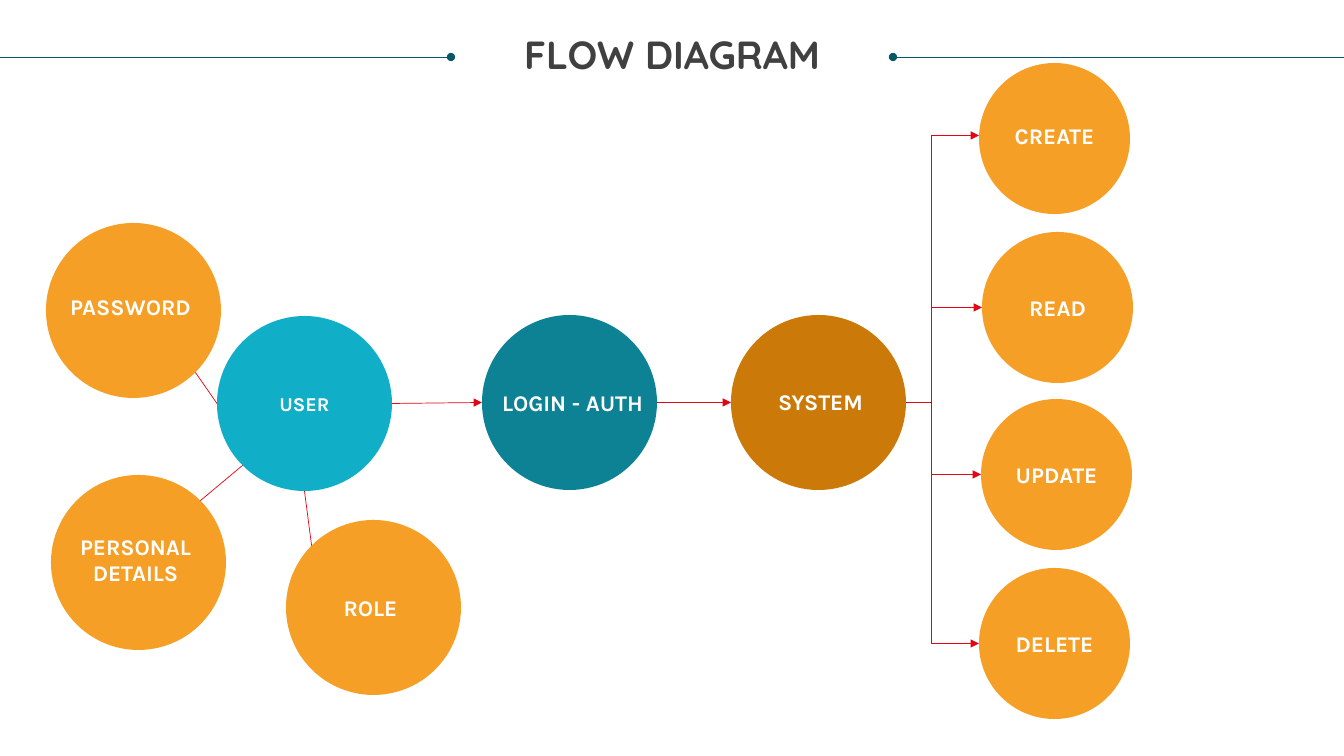
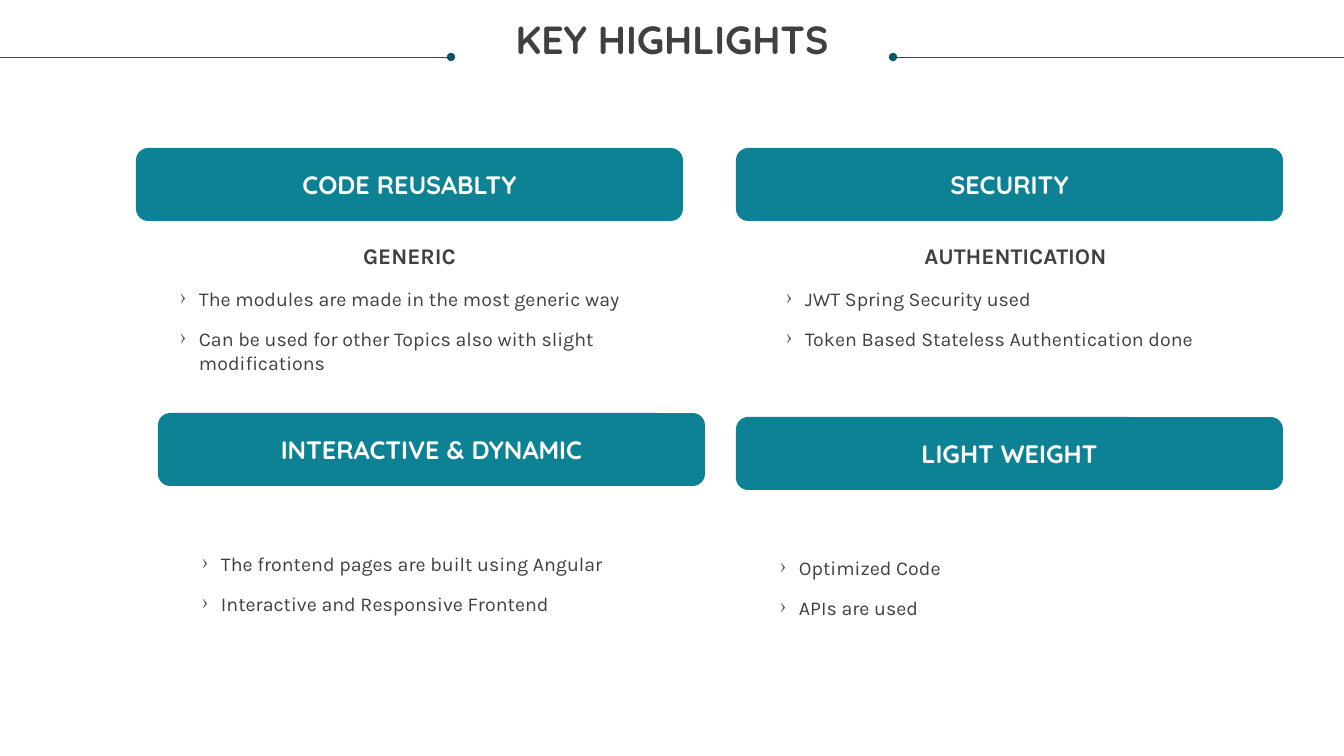
from dataclasses import dataclass
from math import cos, radians, sin

from lxml import etree
from pptx import Presentation
from pptx.dml.color import RGBColor
from pptx.enum.shapes import MSO_CONNECTOR, MSO_SHAPE
from pptx.enum.text import MSO_ANCHOR, PP_ALIGN
from pptx.oxml.ns import qn
from pptx.util import Emu, Pt

ELLIPSE, ROUNDED = MSO_SHAPE.OVAL, MSO_SHAPE.ROUNDED_RECTANGLE
STRAIGHT, ELBOW = MSO_CONNECTOR.STRAIGHT, MSO_CONNECTOR.ELBOW
TOP, MIDDLE = MSO_ANCHOR.TOP, MSO_ANCHOR.MIDDLE
LEFT, CENTER = PP_ALIGN.LEFT, PP_ALIGN.CENTER

SLIDE_W, SLIDE_H = 1344, 756
EMU_PER_PX = 914400 / 100.8
Point = tuple[float, float]


def px(length: float) -> Emu:
    return Emu(round(length * EMU_PER_PX))


@dataclass(frozen=True)
class TextStyle:
    font: str
    size: int
    color: str
    bold: bool = True


@dataclass(frozen=True)
class Theme:
    rule: str = "085764"
    arrow: str = "E20613"
    bullet: str = "585858"
    cyan: str = "11AEC7"
    teal: str = "0D8295"
    brown: str = "CB7A09"
    orange: str = "F59F26"
    line_width: float = 0.5
    title: TextStyle = TextStyle("Quicksand", 28, "404040")
    band: TextStyle = TextStyle("Quicksand", 18, "FFFFFF")
    label: TextStyle = TextStyle("Karla", 16, "FFFFFF")
    small_label: TextStyle = TextStyle("Karla", 14, "FFFFFF")
    heading: TextStyle = TextStyle("Karla", 16, "404040")
    body: TextStyle = TextStyle("Karla", 14, "404040", False)


THEME = Theme()
LABEL_W, LABEL_H = 151, 27


@dataclass(frozen=True)
class Circle:
    text: str
    left: int
    top: int
    size: int
    color: str
    nudge: Point | None = (0, 0)  # label offset; None keeps the text inside

    def site(self, degrees: float) -> Point:
        """Point on the rim, clockwise from the right."""
        radius, angle = self.size / 2, radians(degrees)
        return (self.left + radius * (1 + cos(angle)),
                self.top + radius * (1 + sin(angle)))

    def label_center(self) -> Point:
        dx, dy = self.nudge or (0, 0)
        return self.left + self.size / 2 + dx, self.top + self.size / 2 + dy


@dataclass(frozen=True)
class Highlight:
    title: str
    left: int
    top: int
    points: tuple[str, ...]
    heading: str = ""
    indent: int = 44


# Shared drawing
def set_all(target, values: dict) -> None:
    for name, value in values.items():
        setattr(target, name, value)


def write(frame, lines: tuple[str, ...], style: TextStyle,
          align=CENTER, anchor=TOP, spacing: dict | None = None) -> None:
    set_all(frame, {"word_wrap": True, "vertical_anchor": anchor,
                    "margin_left": 0, "margin_right": 0,
                    "margin_top": 0, "margin_bottom": 0})
    for index, line in enumerate(lines):
        paragraph = frame.add_paragraph() if index else frame.paragraphs[0]
        set_all(paragraph, {"alignment": align, **(spacing or {})})
        run = paragraph.add_run()
        run.text = line
        set_all(run.font, {"name": style.font, "size": Pt(style.size),
                           "bold": style.bold})
        run.font.color.rgb = RGBColor.from_string(style.color)


def add_text(slide, box: tuple[float, ...], lines: tuple[str, ...],
             style: TextStyle, **layout):
    frame = slide.shapes.add_textbox(*map(px, box)).text_frame
    write(frame, lines, style, **layout)
    return frame


def add_filled(slide, kind, box: tuple[float, ...], color: str):
    shape = slide.shapes.add_shape(kind, *map(px, box))
    shape.shadow.inherit = False
    shape.fill.solid()
    shape.fill.fore_color.rgb = RGBColor.from_string(color)
    shape.line.fill.background()
    return shape


def add_line(slide, start: Point, end: Point, color: str, head: str = "",
             tail: str = "", bend_x: float | None = None) -> None:
    kind = STRAIGHT if bend_x is None else ELBOW
    connector = slide.shapes.add_connector(kind, *map(px, (*start, *end)))
    connector.line.width = Pt(THEME.line_width)
    connector.line.color.rgb = RGBColor.from_string(color)
    properties = connector._element.spPr
    outline = properties.find(qn("a:ln"))
    for tag, mark in (("a:headEnd", head), ("a:tailEnd", tail)):
        if mark:
            etree.SubElement(outline, qn(tag), type=mark)
    etree.SubElement(properties, qn("a:effectLst"))
    if bend_x is not None:
        share = round((bend_x - start[0]) / (end[0] - start[0]) * 100000)
        geometry = properties.find(qn("a:prstGeom"))
        guides = geometry.find(qn("a:avLst"))
        if guides is None:
            guides = etree.SubElement(geometry, qn("a:avLst"))
        etree.SubElement(guides, qn("a:gd"), name="adj1", fmla=f"val {share}")


def add_titled_slide(deck, title: str, title_top: int):
    slide = deck.slides.add_slide(deck.slide_layouts[6])
    rule_y = 57
    add_line(slide, (893, rule_y), (SLIDE_W, rule_y), THEME.rule, head="oval")
    add_line(slide, (0, rule_y), (451, rule_y), THEME.rule, tail="oval")
    add_text(slide, (25, title_top, SLIDE_W - 50, 42), (title,), THEME.title,
             spacing={"line_spacing": 0.9})
    return slide


# Flow diagram
USER = Circle("USER", 217, 316, 175, THEME.cyan, None)
LOGIN = Circle("LOGIN - AUTH", 482, 315, 175, THEME.teal, (3, 0))
SYSTEM = Circle("SYSTEM", 731, 315, 175, THEME.brown, (2, -1))
PASSWORD = Circle("PASSWORD", 46, 223, 175, THEME.orange, (-3, -4))
DETAILS = Circle("PERSONAL DETAILS", 51, 475, 175, THEME.orange, (-3, -3))
ROLE = Circle("ROLE", 286, 520, 175, THEME.orange, (-3, 0))
ACTIONS = (
    Circle("CREATE", 979, 63, 151, THEME.orange, (0, -3)),
    Circle("READ", 982, 232, 151, THEME.orange),
    Circle("UPDATE", 981, 399, 151, THEME.orange),
    Circle("DELETE", 979, 568, 151, THEME.orange),
)
BRANCH_X = 931


def add_circle(slide, circle: Circle) -> None:
    disc = add_filled(slide, ELLIPSE, (circle.left, circle.top,
                                       circle.size, circle.size), circle.color)
    if circle.nudge is None:
        write(disc.text_frame, (circle.text,), THEME.small_label, anchor=MIDDLE)
        return
    x, y = circle.label_center()
    height = LABEL_H * len(circle.text.split()) if circle is DETAILS else LABEL_H
    add_text(slide, (x - LABEL_W / 2, y - height / 2, LABEL_W, height),
             (circle.text,), THEME.label, anchor=MIDDLE)


def build_flow(deck) -> None:
    slide = add_titled_slide(deck, "FLOW DIAGRAM", 36)
    for circle in (USER, LOGIN, SYSTEM, PASSWORD, DETAILS, ROLE, *ACTIONS):
        add_circle(slide, circle)
    # User attributes
    for start, end in ((USER.site(135), DETAILS.site(-45)),
                       (USER.site(90), ROLE.site(-135)),
                       (PASSWORD.site(45), USER.site(180))):
        add_line(slide, start, end, THEME.arrow)
    # Main path
    for source, target in ((USER, LOGIN), (LOGIN, SYSTEM)):
        add_line(slide, source.site(0), target.site(180), THEME.arrow,
                 tail="triangle")
    # Branches to the actions
    for action in ACTIONS:
        add_line(slide, SYSTEM.site(0), (action.left, action.label_center()[1]),
                 THEME.arrow, tail="triangle", bend_x=BRANCH_X)


# Key highlights
HIGHLIGHTS = (
    Highlight("CODE REUSABLTY", 136, 148,
              ("The modules are made in the most generic way",
               "Can be used for other Topics also with slight modifications"),
              "GENERIC"),
    Highlight("SECURITY", 736, 148,
              ("JWT Spring Security used",
               "Token Based Stateless Authentication done"),
              "AUTHENTICATION", 50),
    Highlight("INTERACTIVE & DYNAMIC", 158, 413,
              ("The frontend pages are built using Angular",
               "Interactive and Responsive Frontend")),
    Highlight("LIGHT WEIGHT", 736, 417, ("Optimized Code", "APIs are used")),
)
BAND_W, BAND_H, BODY_W, BODY_H = 547, 73, 459, 64
HEADING_DROP, BODY_DROP, BULLET_INDENT = 94, 139, 19


def add_bullets(frame) -> None:
    for paragraph in frame.paragraphs:
        properties = paragraph._p.get_or_add_pPr()
        properties.set("marL", str(px(BULLET_INDENT)))
        properties.set("indent", str(-px(BULLET_INDENT)))
        color = etree.SubElement(properties, qn("a:buClr"))
        etree.SubElement(color, qn("a:srgbClr"), val=THEME.bullet)
        etree.SubElement(properties, qn("a:buChar"), char="›")


def add_highlight(slide, item: Highlight) -> None:
    band = add_filled(slide, ROUNDED, (item.left, item.top, BAND_W, BAND_H),
                      THEME.teal)
    write(band.text_frame, (item.title,), THEME.band, anchor=MIDDLE)
    body_left = item.left + item.indent
    if item.heading:
        add_text(slide, (body_left, item.top + HEADING_DROP, BODY_W, LABEL_H),
                 (item.heading,), THEME.heading)
    body = add_text(slide, (body_left, item.top + BODY_DROP, BODY_W, BODY_H),
                    item.points, THEME.body, align=LEFT,
                    spacing={"space_before": Pt(12)})
    add_bullets(body)


def build_highlights(deck) -> None:
    slide = add_titled_slide(deck, "KEY HIGHLIGHTS", 21)
    for item in HIGHLIGHTS:
        add_highlight(slide, item)


def main() -> None:
    deck = Presentation()
    set_all(deck, {"slide_width": px(SLIDE_W), "slide_height": px(SLIDE_H)})
    build_flow(deck)
    build_highlights(deck)
    deck.save("out.pptx")


main()
